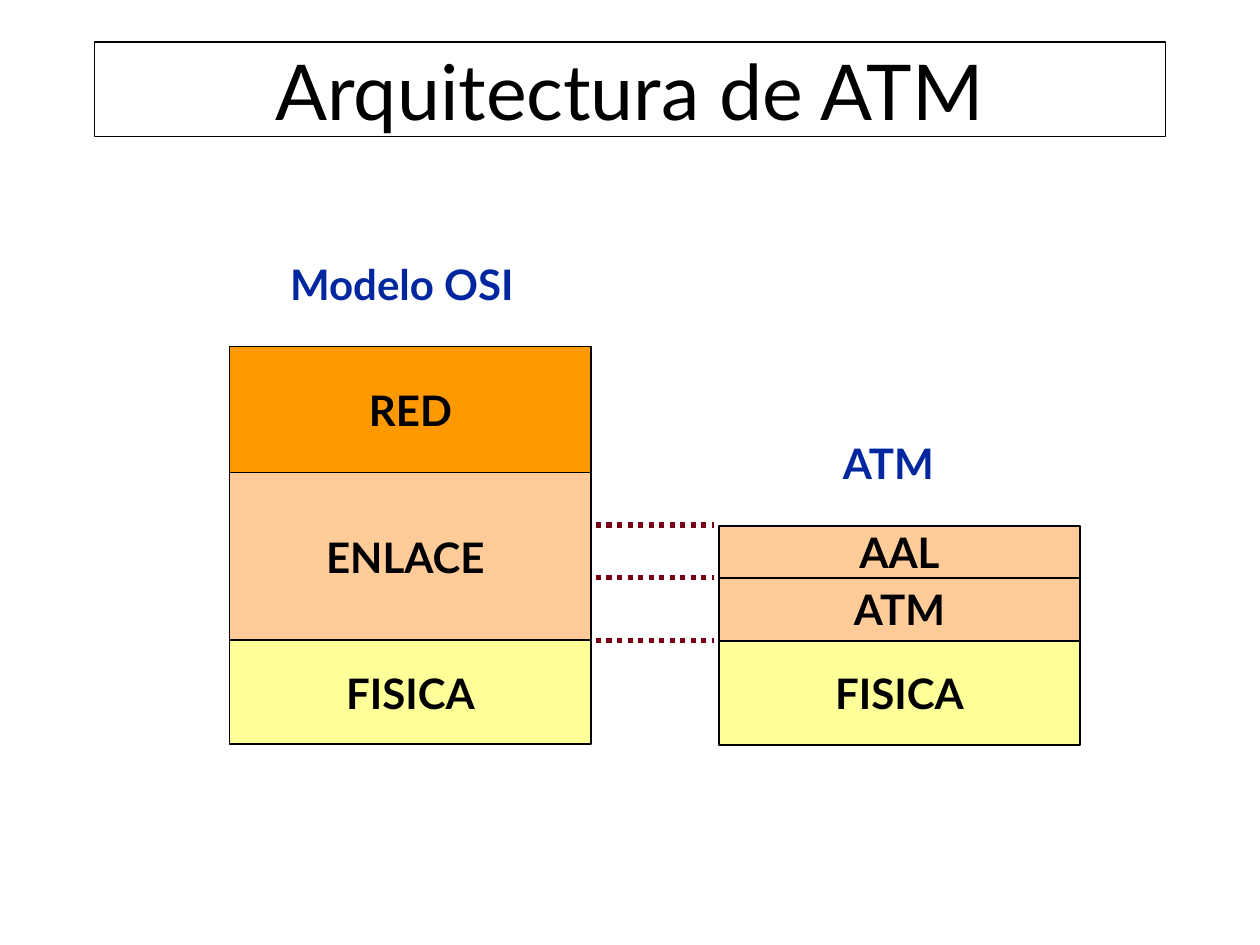
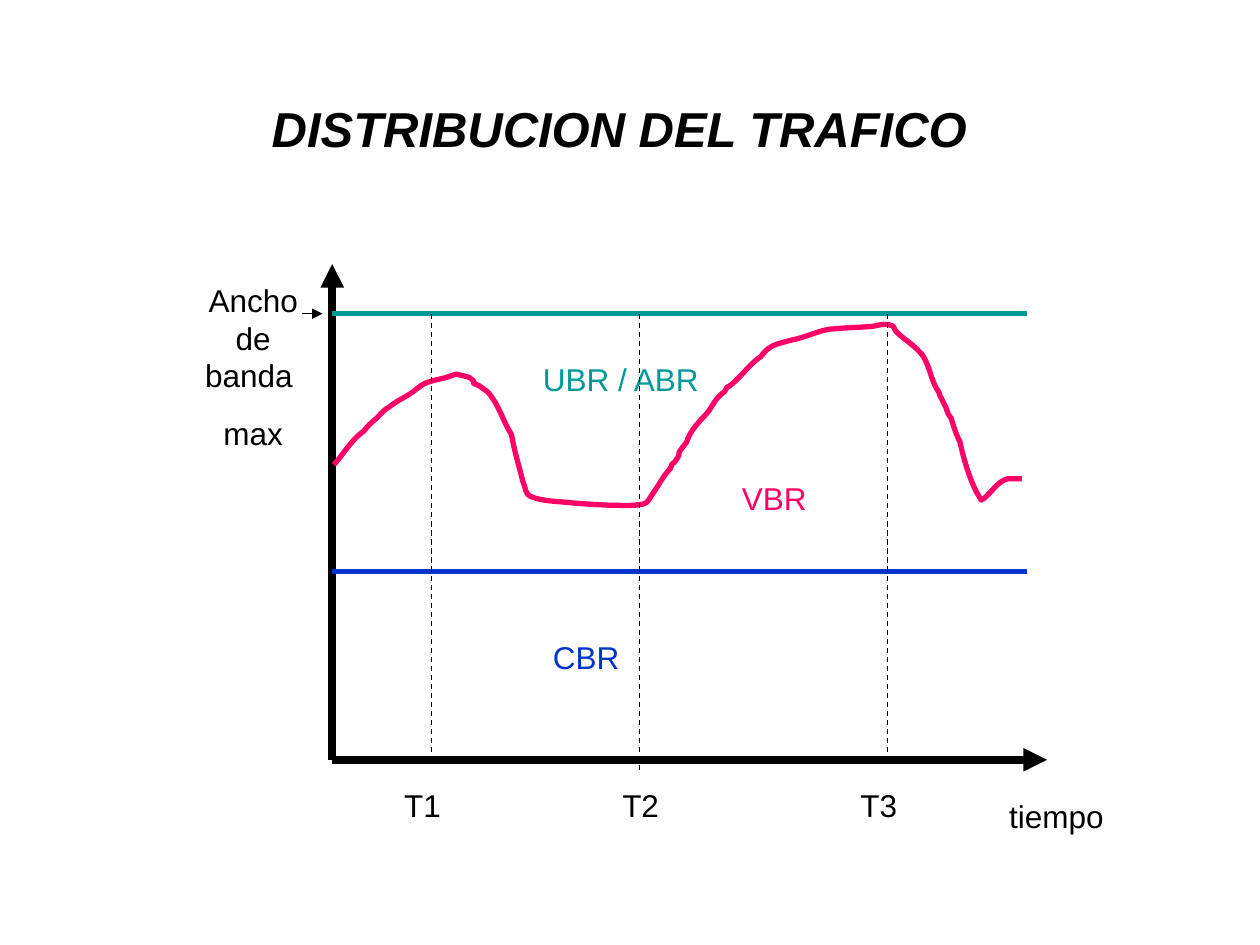
import pptx
import pptx.util
import pptx.dml.color
import pptx.enum.dml
import pptx.enum.shapes
import pptx.enum.text
import pptx.oxml
import pptx.oxml.ns

# Shared look
BLACK, NAVY, WINE = "000000", "00279F", "790015"
ORANGE, PEACH, CREAM = "FF9900", "FFCC99", "FFFF99"
TEAL, BLUE, PINK = "009999", "0033CC", "FF0066"
LATO, ARIAL = "Lato", "Arial"
DASH = pptx.enum.dml.MSO_LINE
ALIGN = pptx.enum.text.PP_ALIGN
LEFT, MID, RIGHT = ALIGN.LEFT, ALIGN.CENTER, ALIGN.RIGHT
GROW = pptx.enum.text.MSO_AUTO_SIZE.SHAPE_TO_FIT_TEXT

# The slide is a grid of 100 columns by 75 rows
WIDE, HIGH = pptx.util.Inches(10), pptx.util.Inches(7.5)
COLS, ROWS = 100, 75

# VBR curve in columns and rows: a start, then two handles and an end per bend
START = (26.5, 36.9)
BENDS = [
    ((27.3, 36), (27.9, 34.9), (28.9, 34.2)),
    ((29.2, 33.8), (29.4, 33.6), (29.9, 33.2)),
    ((30.2, 32.9), (30.5, 32.5), (30.9, 32.3)),
    ((31.4, 31.9), (32, 31.6), (32.5, 31.3)),
    ((33, 31), (33.3, 30.6), (33.8, 30.4)),
    ((34.3, 30.2), (34.9, 30.1), (35.3, 30)),
    ((35.6, 29.9), (36.2, 29.7), (36.2, 29.7)),
    ((36.2, 29.7), (37.2, 29.9), (37.3, 30)),
    ((38.2, 30.7), (37, 30.2), (38, 30.6)),
    ((38.2, 30.8), (38.5, 30.9), (38.7, 31.1)),
    ((39.6, 32.1), (39.9, 33.4), (40.6, 34.5)),
    ((40.8, 35.7), (41.2, 37), (41.5, 38.2)),
    ((41.7, 38.6), (41.7, 39.3), (42.1, 39.4)),
    ((43, 39.8), (44.3, 39.8), (45.2, 39.9)),
    ((46.2, 40), (48.2, 40.1), (48.2, 40.1)),
    ((49.2, 40.1), (50.2, 40.2), (51.1, 40)),
    ((51.4, 40), (51.7, 39.3), (51.8, 39.2)),
    ((52.3, 38.5), (52.7, 37.7), (53.2, 37.2)),
    ((53.6, 36.2), (53.1, 37.4), (53.8, 36.3)),
    ((53.9, 36.2), (53.9, 36), (53.9, 35.9)),
    ((54.1, 35.6), (54.5, 35.1), (54.5, 35.1)),
    ((54.8, 34.1), (55.6, 33.4), (56.2, 32.7)),
    ((56.7, 32), (56.8, 31.6), (57.5, 31.1)),
    ((58, 30.3), (57.4, 31.1), (58.2, 30.4)),
    ((59, 29.7), (59.5, 28.9), (60.4, 28.3)),
    ((61.1, 27.3), (61.8, 27.3), (62.8, 27)),
    ((64, 26.8), (65.2, 26.1), (66.3, 26.1)),
    ((67.3, 26), (68.3, 26), (69.3, 25.9)),
    ((69.8, 25.8), (70.4, 25.6), (70.9, 25.9)),
    ((71, 26), (71, 26.2), (71.1, 26.3)),
    ((71.9, 27.1), (73.1, 27.7), (73.5, 28.7)),
    ((73.9, 29.6), (74, 30.4), (74.5, 31.1)),
    ((74.9, 32.2), (74.4, 30.9), (74.9, 32)),
    ((75.2, 32.4), (75.1, 32.8), (75.5, 33.2)),
    ((75.7, 33.9), (75.9, 34.5), (76.2, 35.1)),
    ((76.5, 36.5), (77.1, 38.6), (77.9, 39.7)),
    ((78.6, 39.3), (79.1, 38.2), (80, 38)),
    ((80.4, 38), (80.7, 38), (81.1, 38)),
]


def col(n):
    return round(WIDE * n / COLS)


def row(n):
    return round(HIGH * n / ROWS)


def area(x, y, w, h):
    return col(x), row(y), col(w), row(h)


def tint(code):
    return pptx.dml.color.RGBColor.from_string(code)


def tag(text):
    """Drawing element from its name and attributes."""
    return pptx.oxml.parse_xml(
        "<a:%s %s/>" % (text, pptx.oxml.ns.nsdecls("a")))


def pen(line, code, width):
    line.color.rgb = tint(code)
    line.width = pptx.util.Pt(width)


def style(run, font, size, code, bold=False, slant=False):
    run.font.name = font
    run.font.size = pptx.util.Pt(size)
    run.font.color.rgb = tint(code)
    run.font.bold = bold
    run.font.italic = slant


def write(frame, text, font, size, code, bold=False, align=MID, gap=0):
    frame.text = text
    for para in frame.paragraphs:
        para.alignment = align
        para.space_before = pptx.util.Pt(gap)
        for run in para.runs:
            style(run, font, size, code, bold)


def box(slide, place, text, fill=None, size=24, bold=True, width=1):
    shape = slide.shapes.add_shape(
        pptx.enum.shapes.MSO_SHAPE.RECTANGLE, *area(*place))
    shape.shadow.inherit = False
    if fill:
        shape.fill.solid()
        shape.fill.fore_color.rgb = tint(fill)
    else:
        shape.fill.background()
    pen(shape.line, BLACK, width)
    frame = shape.text_frame
    frame.vertical_anchor = pptx.enum.text.MSO_ANCHOR.MIDDLE
    frame.word_wrap = False
    write(frame, text, LATO, size, BLACK, bold)


def stack(slide, x, y, parts):
    for text, fill, high in parts:
        box(slide, (x, y, 28.7, high), text, fill)
        y += high


def plain(slide, place, wrap=True):
    frame = slide.shapes.add_textbox(*area(*place)).text_frame
    frame.word_wrap = wrap
    return frame


def head(slide, place, text, align=MID):
    frame = plain(slide, place, False)
    frame.auto_size = GROW
    write(frame, text, LATO, 24, NAVY, True, align)


def note(slide, place, text, code=BLACK, align=LEFT):
    frame = plain(slide, place)
    frame.auto_size = GROW
    write(frame, text, ARIAL, 18, code, False, align, 11.2)


def rule(slide, start, end, code, width, dash=None, arrow=False):
    line = slide.shapes.add_connector(
        pptx.enum.shapes.MSO_CONNECTOR.STRAIGHT,
        col(start[0]), row(start[1]), col(end[0]), row(end[1]))
    pen(line.line, code, width)
    if dash:
        line.line.dash_style = dash
    props = line.line._get_or_add_ln()
    if arrow:
        props.append(tag("tailEnd type='triangle'"))
    props.addnext(tag("effectLst"))


def wave(slide, start, bends, code):
    maker = slide.shapes.build_freeform(col(start[0]), row(start[1]))
    maker.add_line_segments(
        [(col(x), row(y)) for bend in bends for x, y in bend], close=False)
    shape = maker.convert_to_shape()
    shape.shadow.inherit = False
    shape.fill.background()
    pen(shape.line, code, 3)
    # Join each three straight steps into one cubic bend
    steps = list(shape._element.iter(pptx.oxml.ns.qn("a:lnTo")))
    for trio in zip(steps[::3], steps[1::3], steps[2::3]):
        curve = tag("cubicBezTo")
        trio[0].addprevious(curve)
        for step in trio:
            curve.append(step[0])
            step.getparent().remove(step)


def layers(slide):
    box(slide, (7.5, 3.33, 85, 7.5), "Arquitectura de ATM",
        size=44, bold=False, width=0.75)
    # The two protocol stacks
    stack(slide, 18.23, 27.5, [("RED", ORANGE, 10), ("ENLACE ", PEACH, 13.33),
                               ("FISICA", CREAM, 8.25)])
    stack(slide, 57.04, 41.75, [("AAL", PEACH, 4.1), ("ATM", PEACH, 5),
                                ("FISICA", CREAM, 8.3)])
    head(slide, (65.7, 34.2, 9.4, 5), "ATM", RIGHT)
    head(slide, (21.4, 20, 21, 5), "Modelo OSI")
    # Dotted links between matching layers
    for y in (41.67, 45.83, 50.83):
        rule(slide, (47.3, y), (56.7, y), WINE, 3, DASH.ROUND_DOT)


def traffic(slide):
    # Title, with a tall space that closes the line
    frame = plain(slide, (5, 3, 90, 12.5))
    frame.vertical_anchor = pptx.enum.text.MSO_ANCHOR.MIDDLE
    write(frame, "DISTRIBUCION DEL TRAFICO", ARIAL, 28, BLACK)
    para = frame.paragraphs[0]
    style(para.runs[0], ARIAL, 28, BLACK, True, True)
    space = para.add_run()
    space.text = " "
    style(space, ARIAL, 44, BLACK)
    # Axes
    left, top, base = 26.37, 24.9, 60.3
    for end in ((left, 20.95), (83.1, base)):
        rule(slide, (left, base), end, BLACK, 4.5, arrow=True)
    # Limits and curve
    for y, code in ((top, TEAL), (45.37, BLUE)):
        rule(slide, (left, y), (81.5, y), code, 3)
    wave(slide, START, BENDS, PINK)
    # Names of the areas and axes
    note(slide, (42.9, 50.14, 21.2, 4), "CBR", BLUE)
    note(slide, (57.9, 37.5, 13.4, 4), "VBR", PINK)
    note(slide, (42.1, 28.1, 16.5, 4), "UBR / ABR", TEAL)
    note(slide, (79.1, 62.74, 11.8, 4), "tiempo")
    note(slide, (14.6, 21.8, 11, 14.6), "Ancho de banda \nmax", align=MID)
    # Moments in time
    for name, x, end, start, wide in (("T1", 34.26, base, 31.1, 7.1),
                                      ("T3", 70.46, base, 67.3, 6.3),
                                      ("T2", 50.76, 61.1, 48.4, 5.5)):
        rule(slide, (x, top), (x, end), BLACK, 0.75, DASH.DASH)
        note(slide, (start, 61.9, wide, 4), name)
    rule(slide, (24, top), (25.6, top), BLACK, 0.75, arrow=True)


def main():
    deck = pptx.Presentation()
    deck.slide_width, deck.slide_height = WIDE, HIGH
    for draw in (layers, traffic):
        draw(deck.slides.add_slide(deck.slide_layouts[6]))
    deck.save("out.pptx")


if __name__ == "__main__":
    main()
